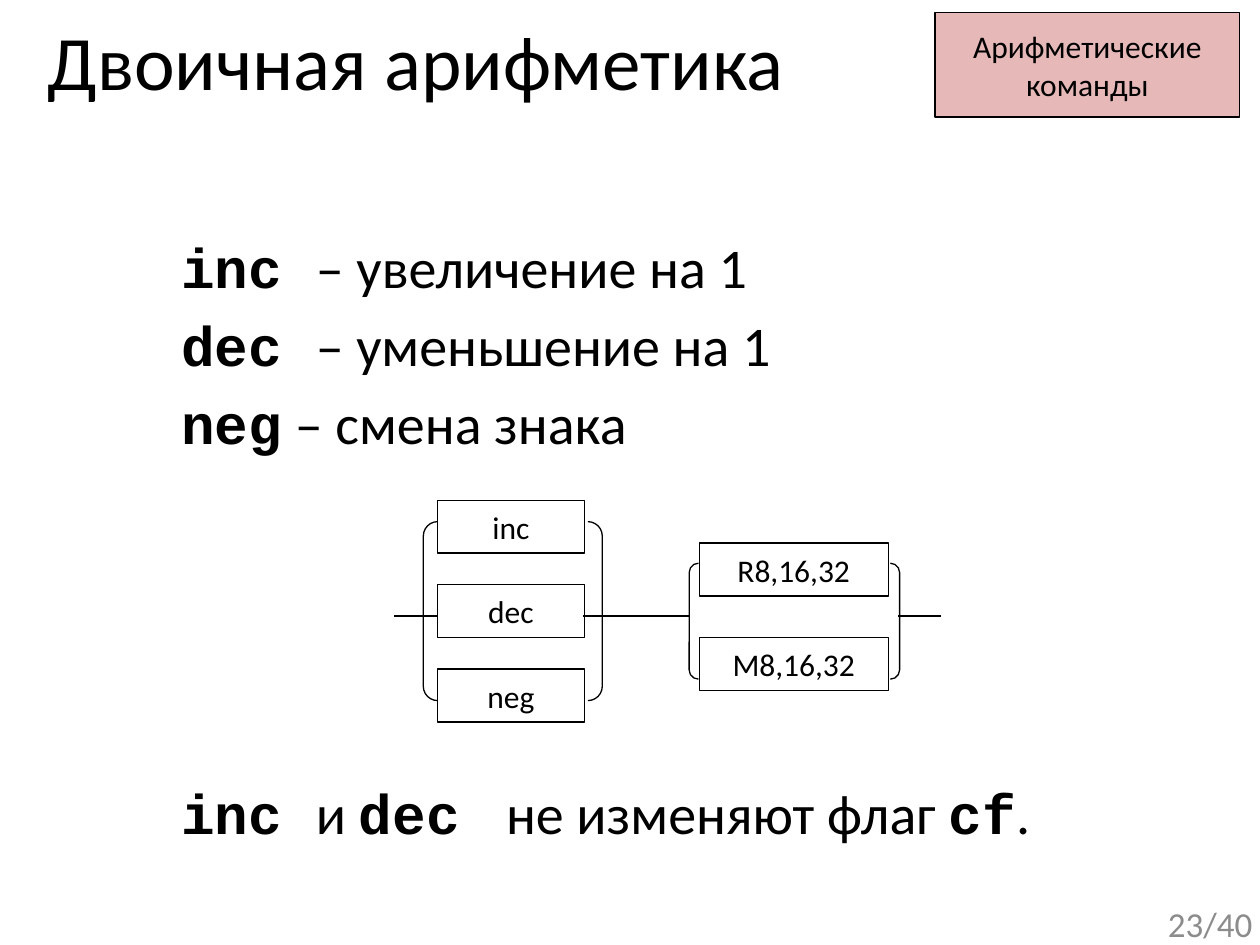
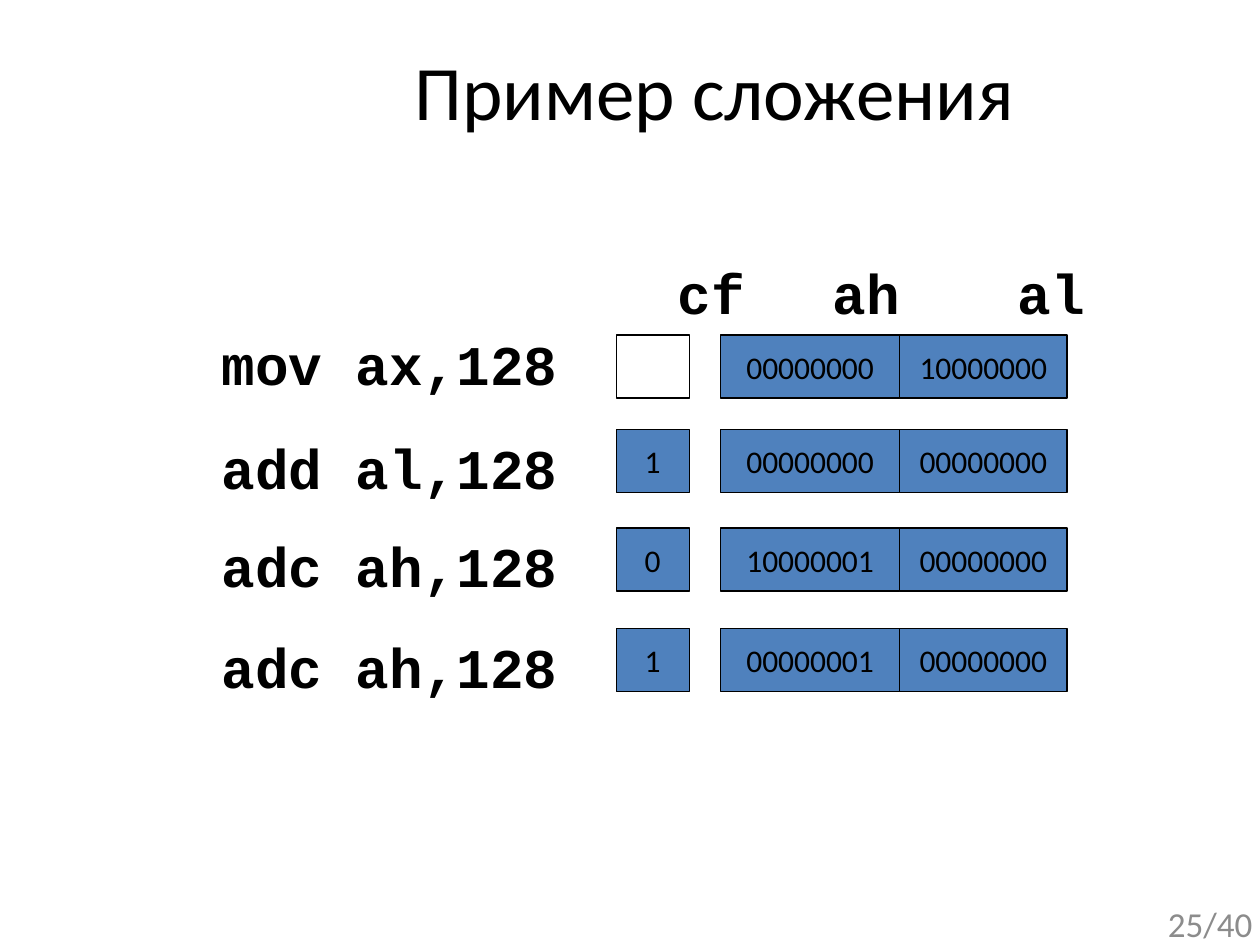
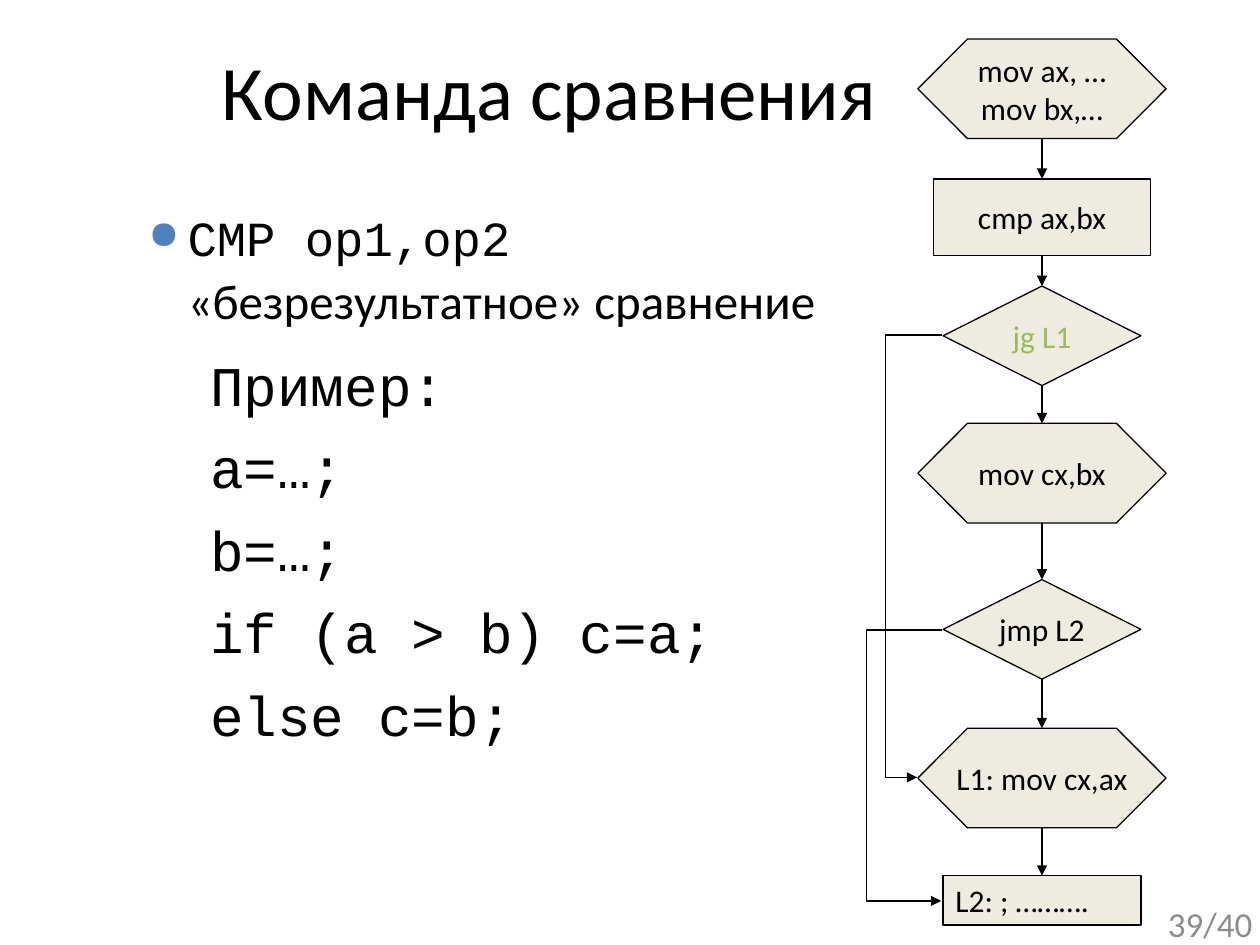
from lxml import etree
from pptx import Presentation
from pptx import util as u
from pptx.dml.color import RGBColor
from pptx.enum import shapes, text
from pptx.oxml.ns import qn

SANS, MONO = "Calibri", "Courier New"
BLACK, WHITE, GREY = "000000", "FFFFFF", "8C8C8C"
BLUE, GREEN, PINK, CREAM = "4F81BD", "9BBB59", "E6B9B8", "EEECE1"
PAGES = 40
CENTER, RIGHT, LEFT = text.PP_ALIGN.CENTER, text.PP_ALIGN.RIGHT, text.PP_ALIGN.LEFT
PRESET = shapes.MSO_SHAPE


def color(hex_code):
    return RGBColor.from_string(hex_code)


def inches(*values):
    return [u.Inches(value) for value in values]


def sub(parent, tag, **attributes):
    return etree.SubElement(parent, qn(tag), **attributes)


class Deck:
    """Shared style together with the slide being filled."""

    def __init__(self):
        self.prs = Presentation()
        self.prs.slide_width, self.prs.slide_height = inches(10, 7.5)
        self.slide = None

    def new_slide(self, title, at, page, align=CENTER):
        self.slide = self.prs.slides.add_slide(self.prs.slide_layouts[6])
        self.text(at, [title], size=44, align=align)
        self.text((7.71, 7.13, 2.33, 0.4), [f"{page}/{PAGES}"], size=20,
                  ink=GREY, align=RIGHT, anchor=text.MSO_ANCHOR.MIDDLE)

    def style(self, run, size, font=SANS, bold=False, ink=BLACK):
        run.font.size, run.font.name, run.font.bold = u.Pt(size), font, bold
        run.font.color.rgb = color(ink)

    def text(self, at, lines, size=32, font=SANS, bold=False, ink=BLACK,
             align=LEFT, anchor=text.MSO_ANCHOR.TOP, before=0):
        """Each line is a string, or a list of (words, is_code) pairs."""
        frame = self.slide.shapes.add_textbox(*inches(*at)).text_frame
        frame.word_wrap, frame.vertical_anchor = True, anchor
        for number, line in enumerate(lines):
            par = frame.add_paragraph() if number else frame.paragraphs[0]
            par.alignment, par.space_before = align, u.Pt(before)
            if isinstance(line, str):
                par.text = line
                self.style(par.runs[0], size, font, bold, ink)
                continue
            for words, is_code in line:
                run = par.add_run()
                run.text = words
                self.style(run, size, MONO if is_code else SANS, is_code, ink)
        return frame

    def box(self, at, label="", fill=WHITE, preset=PRESET.RECTANGLE, ink=BLACK, align=CENTER):
        shape = self.slide.shapes.add_shape(preset, *inches(*at))
        shape.shadow.inherit = False
        if fill:
            shape.fill.solid()
            shape.fill.fore_color.rgb = color(fill)
        else:
            shape.fill.background()
        self.outline(shape)
        if label:
            frame = shape.text_frame
            frame.text = label
            frame.word_wrap, frame.vertical_anchor = False, text.MSO_ANCHOR.MIDDLE
            for par in frame.paragraphs:
                par.alignment = align
                self.style(par.runs[0], 18, ink=ink)
        return shape

    def brackets(self, at):
        self.box(at, fill=None, preset=PRESET.DOUBLE_BRACKET).adjustments[0] = 0.08

    def outline(self, item):
        item.line.color.rgb, item.line.width = color(BLACK), u.Pt(0.75)

    def line(self, start, end, arrow=False, kind=shapes.MSO_CONNECTOR.STRAIGHT):
        connector = self.slide.shapes.add_connector(kind, *inches(*start, *end))
        self.outline(connector)
        properties = connector._element.spPr
        if arrow:
            sub(properties.find(qn("a:ln")), "a:tailEnd", type="triangle")
        sub(properties, "a:effectLst")
        return connector

    def detour(self, start, end, lane):
        """Arrow that leaves to the left, runs down at x = lane and comes back."""
        connector = self.line(start, end, True, shapes.MSO_CONNECTOR.ELBOW)
        share = (start[0] - lane) / (start[0] - end[0])
        guides = connector._element.spPr.find(qn("a:prstGeom")).find(qn("a:avLst"))
        sub(guides, "a:gd", name="adj1", fmla=f"val {round(share * 100000)}")

    def bullet(self, par):
        properties = par._p.get_or_add_pPr()
        properties.set("marL", str(u.Inches(0.4)))
        properties.set("indent", str(u.Inches(-0.31)))
        sub(sub(properties, "a:buClr"), "a:srgbClr", val=BLUE)
        sub(properties, "a:buSzPct", val="80000")
        sub(properties, "a:buChar", char="●")


def binary_arithmetic(deck):
    deck.new_slide("Двоичная арифметика", (0.28, 0.06, 7, 1.25), 23, LEFT)
    deck.box((7.42, 0.1, 2.42, 0.83), "Арифметические\nкоманды", PINK)

    # Commands and the remark on flags
    deck.text((1.34, 1.8, 8.35, 2), [
        [("inc ", True), ("– увеличение на 1", False)],
        [("dec ", True), ("– уменьшение на 1", False)],
        [("neg", True), (" – смена знака", False)],
    ], before=6)
    deck.text((1.34, 6.13, 8.35, 0.7), [[
        ("inc ", True), ("и ", False), ("dec ", True),
        (" не изменяют флаг ", False), ("cf", True), (".", False),
    ]], before=6)

    # Syntax diagram
    for row, command in enumerate(("inc", "dec", "neg")):
        deck.box((3.47, 3.97 + 0.67 * row, 1.17, 0.42), command)
    deck.brackets((3.36, 4.14, 1.42, 1.42))
    for row, operand in enumerate(("R8,16,32", "M8,16,32")):
        deck.box((5.55, 4.31 + 0.75 * row, 1.5, 0.42), operand)
    deck.brackets((5.47, 4.47, 1.67, 0.92))
    for left, right in ((3.13, 3.47), (4.63, 5.47), (7.13, 7.47)):
        deck.line((left, 4.89), (right, 4.89))


def addition_example(deck):
    deck.new_slide("Пример сложения", (1.57, 0.3, 8.2, 1.73), 25)

    # Register names
    for register, left in (("cf", 5.28), ("ah", 6.51), ("al", 7.98)):
        deck.text((left, 2, 0.9, 0.6), [register], font=MONO, bold=True)

    # Commands with the state they leave
    steps = [
        ("mov ax,128", 2.57, 2.66, "", "00000000", "10000000"),
        ("add al,128", 3.39, 3.41, "1", "00000000", "00000000"),
        ("adc ah,128", 4.17, 4.19, "0", "10000001", "00000000"),
        ("adc ah,128", 4.97, 4.99, "1", "00000001", "00000000"),
    ]
    for command, command_top, top, carry, high, low in steps:
        deck.text((1.66, command_top, 2.97, 0.6), [command], font=MONO, bold=True)
        deck.box((4.89, top, 0.58, 0.5), carry, BLUE if carry else WHITE)
        deck.box((5.72, top, 1.42, 0.5), high, BLUE)
        deck.box((7.14, top, 1.33, 0.5), low, BLUE)


def comparison(deck):
    deck.new_slide("Команда сравнения", (0.26, 0.3, 8.2, 1.73), 39)

    # Command and its meaning
    summary = deck.text((0.99, 1.65, 6, 1.1), ["CMP op1,op2", "«безрезультатное» сравнение"],
                        size=28, before=6)
    command, meaning = summary.paragraphs
    command.runs[0].font.name = MONO
    for par in summary.paragraphs:
        par.line_spacing = 0.9
    deck.bullet(command)
    meaning._p.get_or_add_pPr().set("marL", str(u.Inches(0.4)))

    # Example code
    deck.text((1.57, 2.73, 4.6, 4.1),
              ["Пример:", "a=…;", "b=…;", "if (a > b) c=a;", "else c=b;"],
              font=MONO, before=8.8)

    # Flowchart, top to bottom on one axis
    axis = 8.27
    action, choice, process = (PRESET.FLOWCHART_PREPARATION, PRESET.FLOWCHART_DECISION,
                               PRESET.FLOWCHART_PROCESS)
    steps = [
        (action, 0.31, 1.97, 0.79, "mov аx, …\nmov bx,…", BLACK, CENTER),
        (process, 1.42, 1.72, 0.61, "cmp ax,bx", BLACK, CENTER),
        (choice, 2.27, 1.57, 0.79, "jg L1", GREEN, CENTER),
        (action, 3.36, 1.97, 0.79, "mov сx,bx", BLACK, CENTER),
        (choice, 4.6, 1.57, 0.79, "jmp L2", BLACK, CENTER),
        (action, 5.78, 1.97, 0.79, "L1: mov сx,ax", BLACK, CENTER),
        (process, 6.95, 1.57, 0.39, "L2: ; ……….", BLACK, LEFT),
    ]
    previous_bottom = None
    for preset, top, width, height, label, ink, align in steps:
        deck.box((axis - width / 2, top, width, height), label, CREAM, preset, ink, align)
        if previous_bottom:
            deck.line((axis, previous_bottom), (axis, top), arrow=True)
        previous_bottom = top + height

    # Jumps to the labels
    deck.detour((7.48, 2.66), (7.28, 6.17), lane=7.03)
    deck.detour((7.48, 5), (7.47, 7.15), lane=6.87)


def main():
    deck = Deck()
    for build in (binary_arithmetic, addition_example, comparison):
        build(deck)
    deck.prs.save("out.pptx")


if __name__ == "__main__":
    main()
